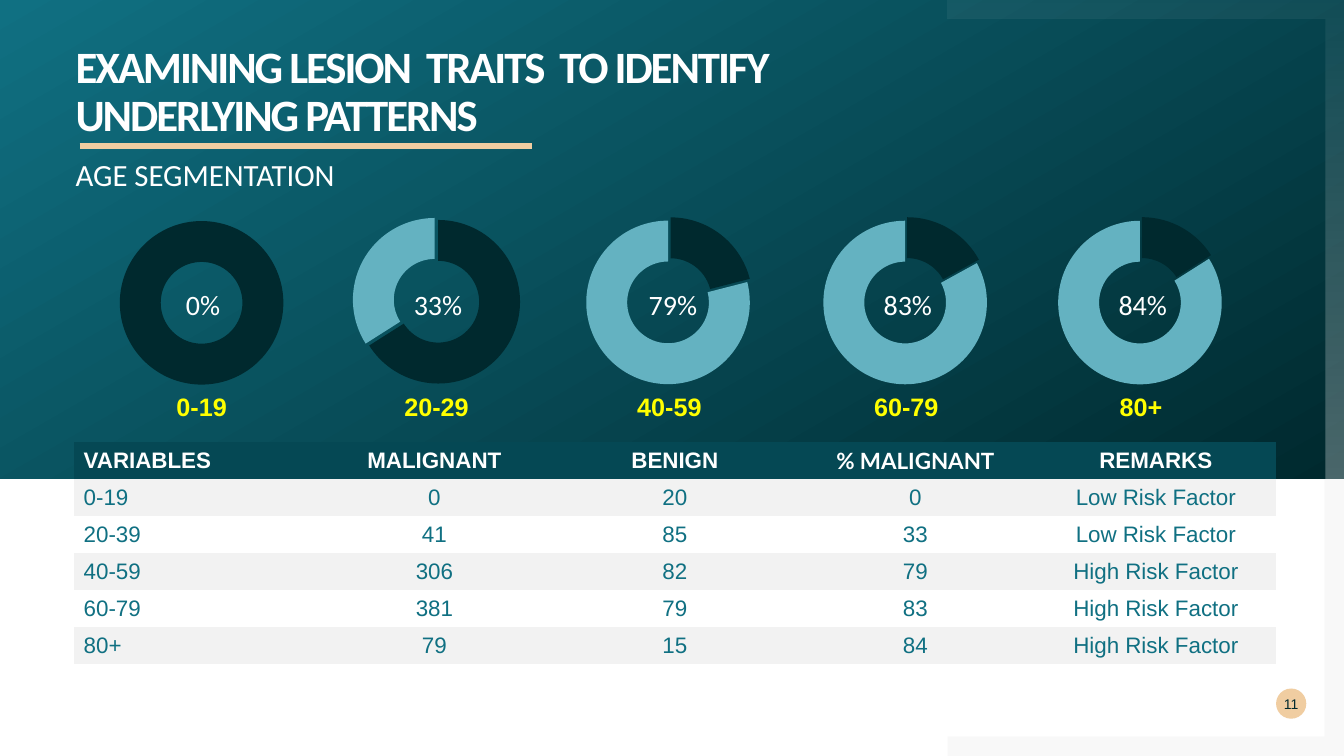
"""Build the age segmentation slide with five doughnuts and a table."""
from dataclasses import dataclass
from typing import Any

from lxml.etree import SubElement
from pptx import Presentation
from pptx.chart.data import CategoryChartData as ChartData
from pptx.dml.color import RGBColor
from pptx.enum.chart import XL_CHART_TYPE as ChartType
from pptx.enum.shapes import MSO_CONNECTOR as Connector
from pptx.enum.shapes import MSO_SHAPE as Shape
from pptx.enum.text import MSO_ANCHOR as Anchor
from pptx.enum.text import PP_ALIGN as Align
from pptx.oxml.ns import qn
from pptx.util import Pt

DARK, TEAL, SKY, SAND = "00292E", "107082", "64B2C1", "F0CDA1"
WHITE, GREY, YELLOW, HEADER = "FFFFFF", "F2F2F2", "FFFF00", "054854"
WIDTH, HEIGHT, BAND_HEIGHT = 960, 540, 342
NO_GRID_STYLE = "{2D5ABB26-0587-4C30-8999-92F81FD0307C}"
NO_INSETS = dict.fromkeys(
    ("margin_left", "margin_top", "margin_right", "margin_bottom"), 0)


@dataclass(frozen=True)
class TextStyle:
    size: float
    color: str
    font: str = "Arial"
    bold: bool = False
    spacing: int = 0


@dataclass(frozen=True)
class AgeRing:
    center: float
    label: str
    percent: str
    values: tuple[int, int]


@dataclass(frozen=True)
class CornerFrame:
    points: tuple[tuple[float, float], ...]
    color: str
    alphas: tuple[int, ...]


RINGS = (
    AgeRing(144, "0-19", "0%", (100, 0)),
    AgeRing(311.8, "20-29", "33%", (66, 34)),
    AgeRing(478.1, "40-59", "79%", (21, 79)),
    AgeRing(647.3, "60-79", "83%", (17, 83)),
    AgeRing(815, "80+", "84%", (16, 84)),
)
FRAMES = (
    CornerFrame(((676.8, 0), (960, 0), (960, 342), (946, 342), (946, 14),
                 (676.8, 14)), WHITE, (5, 30)),
    CornerFrame(((946, 342), (960, 342), (960, 540), (676.8, 540),
                 (676.8, 526), (946, 526)), "808080", (5,)),
)
ROWS = (
    ("VARIABLES", "MALIGNANT", "BENIGN", "% MALIGNANT", "REMARKS"),
    ("0-19", "0", "20", "0", "Low Risk Factor"),
    ("20-39", "41", "85", "33", "Low Risk Factor"),
    ("40-59", "306", "82", "79", "High Risk Factor"),
    ("60-79", "381", "79", "83", "High Risk Factor"),
    ("80+", "79", "15", "84", "High Risk Factor"),
)


def rgb(color: str) -> RGBColor:
    return RGBColor.from_string(color)


def apply(target: Any, **values: Any) -> None:
    for name, value in values.items():
        setattr(target, name, value)


def paint(target: Any, color: str) -> None:
    target.fill.solid()
    target.fill.fore_color.rgb = rgb(color)


def paint_gradient(shape: Any, colors: tuple[str, str], angle: float) -> None:
    shape.fill.gradient()
    shape.fill.gradient_angle = angle
    for stop, color in zip(shape.fill.gradient_stops, colors):
        stop.color.rgb = rgb(color)


def strip(shape: Any) -> None:
    shape.shadow.inherit = False
    shape.line.fill.background()


def write(frame: Any, text: str, style: TextStyle, **layout: Any) -> None:
    para = frame.paragraphs[0]
    apply(para, **layout)
    span = para.add_run()
    span.text = text
    apply(span.font, name=style.font, size=Pt(style.size), bold=style.bold)
    span.font.color.rgb = rgb(style.color)
    if style.spacing:
        span.font._element.set("spc", str(style.spacing))


def add_box(page: Any, place: tuple[float, ...], text: str, style: TextStyle,
            frame_format: dict[str, Any], **layout: Any) -> None:
    box = page.shapes.add_textbox(*map(Pt, place))
    apply(box.text_frame, **frame_format)
    write(box.text_frame, text, style, **layout)


def add_circle(page: Any, place: tuple[float, ...], text: str,
               style: TextStyle, color: str = "") -> None:
    circle = page.shapes.add_shape(Shape.OVAL, *map(Pt, place))
    strip(circle)
    if color:
        paint(circle, color)
    else:
        circle.fill.background()
    apply(circle.text_frame, vertical_anchor=Anchor.MIDDLE, **NO_INSETS)
    write(circle.text_frame, text, style, alignment=Align.CENTER)


def add_frame(page: Any, frame: CornerFrame) -> None:
    points = [(Pt(x), Pt(y)) for x, y in frame.points]
    builder = page.shapes.build_freeform(*points[0], scale=1.0)
    builder.add_line_segments(points[1:], close=True)
    corner = builder.convert_to_shape()
    strip(corner)
    if len(frame.alphas) > 1:
        paint_gradient(corner, (frame.color, frame.color), 270)
    else:
        paint(corner, frame.color)
    tones = corner._element.spPr.iter(qn("a:srgbClr"))
    for tone, alpha in zip(list(tones), frame.alphas):
        SubElement(tone, qn("a:alpha")).set("val", str(alpha * 1000))


def add_background(page: Any) -> None:
    band = page.shapes.add_shape(
        Shape.RECTANGLE, 0, 0, Pt(WIDTH), Pt(BAND_HEIGHT))
    strip(band)
    paint_gradient(band, (DARK, TEAL), 120)
    for frame in FRAMES:
        add_frame(page, frame)


def add_heading(page: Any) -> None:
    frame_format = {"word_wrap": True, **NO_INSETS}
    add_box(page, (54, 31.7, 595.4, 28.8),
            "EXAMINING LESION  TRAITS  TO IDENTIFY UNDERLYING PATTERNS",
            TextStyle(32, WHITE, "Calibri", True, -150), frame_format,
            line_spacing=0.9)
    add_box(page, (54, 110.9, 595.4, 28), "AGE SEGMENTATION",
            TextStyle(22, WHITE, "Calibri"), frame_format, space_after=Pt(10))
    rule = page.shapes.add_connector(
        Connector.STRAIGHT, *map(Pt, (56.9, 104.4, 380.2, 104.4)))
    rule.line.color.rgb = rgb(SAND)
    rule.line.width = Pt(4.32)
    SubElement(rule._element.spPr, qn("a:effectLst"))


def add_ring(page: Any, ring: AgeRing) -> None:
    data = ChartData()
    data.categories = ["1", "2"]
    data.add_series("Series 1", ring.values)
    place = map(Pt, (ring.center - 69.8, 129.6, 139.6, 170.6))
    chart = page.shapes.add_chart(ChartType.DOUGHNUT, *place, data).chart
    apply(chart, has_legend=False, has_title=False)
    apply(chart.font, name="Arial", size=Pt(10))
    chart.font.color.rgb = rgb("000000")
    plot = chart.plots[0]
    plot.vary_by_categories = True
    plot._element.find(qn("c:holeSize")).set("val", "60")
    series = plot.series[0]
    for index, color in enumerate((DARK, SKY)):
        paint(series.points[index].format, color)
    explosion = SubElement(series._element, qn("c:explosion"))
    explosion.set("val", "5")
    series._element.find(qn("c:tx")).addnext(explosion)


def add_risk_table(page: Any) -> None:
    place = map(Pt, (52.6, 316, 859, 158.4))
    table = page.shapes.add_table(len(ROWS), len(ROWS[0]), *place).table
    table.horz_banding = False
    table._tbl.tblPr.find(qn("a:tableStyleId")).text = NO_GRID_STYLE
    for r, texts in enumerate(ROWS):
        for c, text in enumerate(texts):
            cell = table.cell(r, c)
            cell.vertical_anchor = Anchor.MIDDLE
            paint(cell, (GREY if r % 2 else WHITE) if r else HEADER)
            font = "Lato" if text == "% MALIGNANT" else "Arial"
            style = TextStyle(16, TEAL if r else WHITE, font, r == 0)
            write(cell.text_frame, text, style,
                  alignment=Align.CENTER if c else Align.LEFT)


def main() -> None:
    deck = Presentation()
    apply(deck, slide_width=Pt(WIDTH), slide_height=Pt(HEIGHT))
    page = deck.slides.add_slide(deck.slide_layouts[6])
    add_background(page)
    add_heading(page)
    add_circle(page, (911.5, 491.8, 21.6, 21.6), "11",
               TextStyle(10, DARK), SAND)
    for index, ring in enumerate(RINGS):
        add_ring(page, ring)
        add_circle(page, (115.2 + 167.8 * index, 187.2, 59.8, 59.8),
                   ring.percent, TextStyle(20, WHITE, "Calibri"))
        add_box(page, (ring.center - 30.6, 275.8, 61.2, 28.8), ring.label,
                TextStyle(18, YELLOW, bold=True), {"word_wrap": False},
                alignment=Align.CENTER)
    add_risk_table(page)
    deck.save("out.pptx")


if __name__ == "__main__":
    main()
